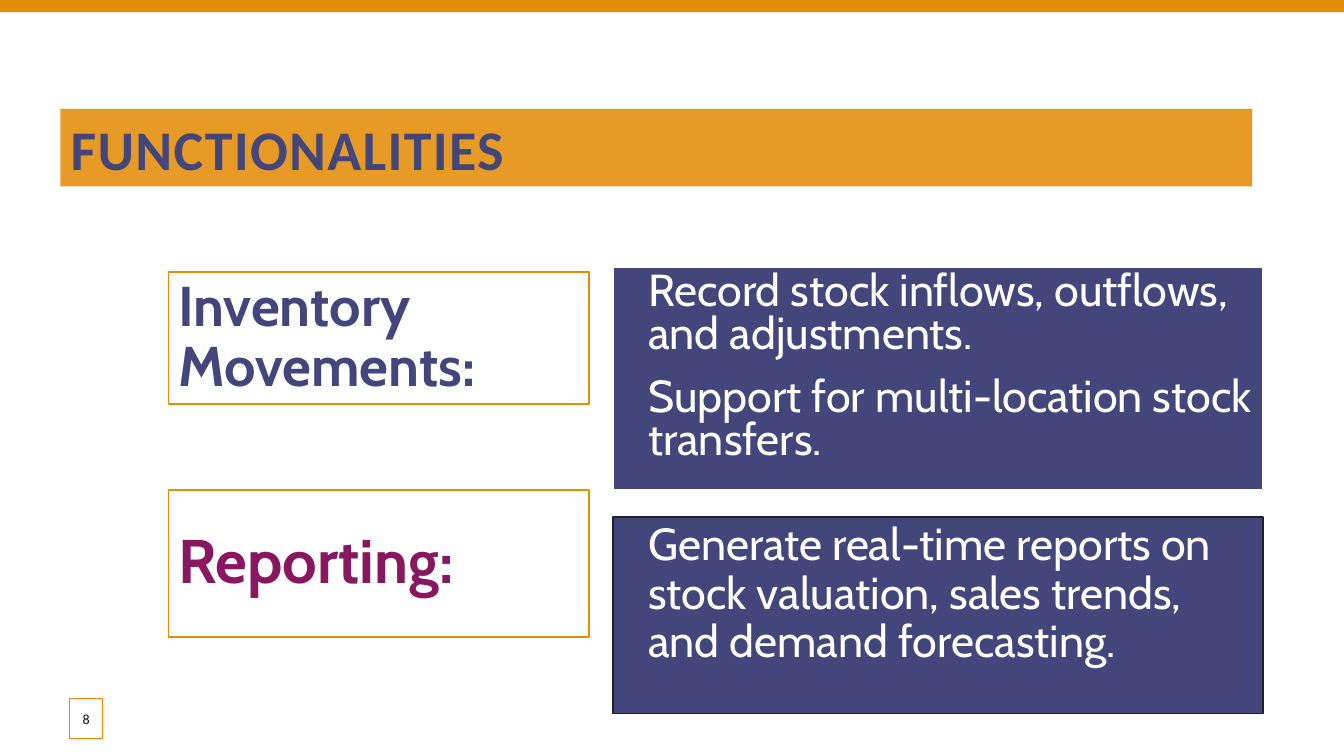
from dataclasses import dataclass

from lxml.etree import SubElement
from pptx import Presentation
from pptx.dml.color import RGBColor
from pptx.enum.shapes import MSO_SHAPE
from pptx.enum.text import MSO_ANCHOR, MSO_AUTO_SIZE, PP_ALIGN
from pptx.oxml.ns import qn
from pptx.util import Inches, Pt

COLOURS = {
    "orange": "E58C09",
    "banner": "E89A27",
    "indigo": "43467B",
    "navy": "1D1F36",
    "plum": "87175F",
    "white": "FFFFFF",
    "ink": "0D0D0D",
}


@dataclass
class Panel:
    placeholder: int
    area: tuple
    texts: list
    size: int
    colour: str
    fill: str = ""
    line: str = "orange"
    line_width: float = 1.25
    bullet: str = ""
    bold: bool = False
    spacing: float = 0.9
    anchor: MSO_ANCHOR = MSO_ANCHOR.MIDDLE


PANELS = [
    Panel(1, (1.67, 2.7, 4.17, 1.31), ["Inventory Movements:"], 40, "indigo", bold=True),
    Panel(2, (6.08, 2.65, 6.45, 2.21),
          ["Record stock inflows, outflows, and adjustments.",
           "Support for multi-location stock transfers."],
          32, "white", "indigo", "white", 1.5, "▪", spacing=0.8, anchor=MSO_ANCHOR.TOP),
    Panel(3, (1.67, 4.86, 4.17, 1.46), ["Reporting:"], 44, "plum", bold=True),
    Panel(4, (6.08, 5.13, 6.45, 1.95),
          ["Generate real-time reports on stock valuation, sales trends, and demand forecasting."],
          32, "white", "indigo", "navy", bullet="•", anchor=MSO_ANCHOR.TOP),
]


def colour_of(name: str) -> RGBColor:
    return RGBColor.from_string(COLOURS[name])


def apply(target, values: dict) -> None:
    for name, value in values.items():
        setattr(target, name, value)


def place(box, area: tuple) -> None:
    apply(box, dict(zip(("left", "top", "width", "height"), map(Inches, area))))


def paint(box, fill: str = "", line: str = "", line_width: float = 1) -> None:
    if fill:
        box.fill.solid()
        box.fill.fore_color.rgb = colour_of(fill)
    else:
        box.fill.background()
    if line:
        box.line.color.rgb = colour_of(line)
        box.line.width = Pt(line_width)
    else:
        box.line.fill.background()


def write(para, text: str, colour: str, **font_values) -> None:
    span = para.add_run()
    span.text = text
    apply(span.font, font_values)
    span.font.color.rgb = colour_of(colour)


def set_bullet(para, bullet: str) -> None:
    properties = para._p.get_or_add_pPr()
    indent = Inches(0.25) if bullet else 0
    properties.set("marL", str(indent))
    properties.set("indent", str(-indent))
    if bullet:
        bullet_colour = SubElement(properties, qn("a:buClr"))
        SubElement(bullet_colour, qn("a:srgbClr"), val=COLOURS["indigo"])
        SubElement(properties, qn("a:buChar"), char=bullet)
    else:
        SubElement(properties, qn("a:buNone"))


def draw_panel(page, panel: Panel) -> None:
    box = page.placeholders[panel.placeholder]
    place(box, panel.area)
    paint(box, panel.fill, panel.line, panel.line_width)
    frame = box.text_frame
    apply(frame, {"word_wrap": True, "auto_size": MSO_AUTO_SIZE.NONE,
                  "vertical_anchor": panel.anchor})
    for index, text in enumerate(panel.texts):
        para = frame.add_paragraph() if index else frame.paragraphs[0]
        apply(para, {"alignment": PP_ALIGN.LEFT, "line_spacing": panel.spacing,
                     "space_before": Pt(12 if index else 0), "space_after": Pt(2)})
        set_bullet(para, panel.bullet)
        write(para, text, panel.colour, name="Cabin", size=Pt(panel.size), bold=panel.bold)


def draw_title(page) -> None:
    title = page.shapes.title
    place(title, (0.6, 1.08, 11.82, 0.77))
    paint(title, "banner")
    apply(title.text_frame, {"auto_size": MSO_AUTO_SIZE.NONE,
                             "vertical_anchor": MSO_ANCHOR.MIDDLE})
    para = title.text_frame.paragraphs[0]
    para.alignment = PP_ALIGN.LEFT
    write(para, "FUNCTIONALITIES", "indigo", name="Calibri", size=Pt(40), bold=True)
    para.runs[0].font._element.set("spc", "100")


def add_rectangle(page, area: tuple):
    box = page.shapes.add_shape(MSO_SHAPE.RECTANGLE, *map(Inches, area))
    box.shadow.inherit = False
    return box


def draw_page_number(page) -> None:
    box = add_rectangle(page, (0.69, 6.93, 0.33, 0.4))
    paint(box, "white", "orange", 0.75)
    fill_colour = box._element.spPr.find(qn("a:solidFill")).find(qn("a:srgbClr"))
    SubElement(fill_colour, qn("a:alpha"), val="82000")
    apply(box.text_frame, {"margin_left": 0, "margin_right": 0,
                           "vertical_anchor": MSO_ANCHOR.MIDDLE})
    para = box.text_frame.paragraphs[0]
    para.alignment = PP_ALIGN.CENTER
    write(para, "8", "ink", name="Calibri", size=Pt(10))


def main() -> None:
    deck = Presentation()
    apply(deck, {"slide_width": Inches(13.33), "slide_height": Inches(7.5)})
    page = deck.slides.add_slide(deck.slide_layouts.get_by_name("Comparison"))
    paint(add_rectangle(page, (0, 0, 13.33, 0.12)), "orange")
    draw_title(page)
    for panel in PANELS:
        draw_panel(page, panel)
    draw_page_number(page)
    deck.save("out.pptx")


if __name__ == "__main__":
    main()
